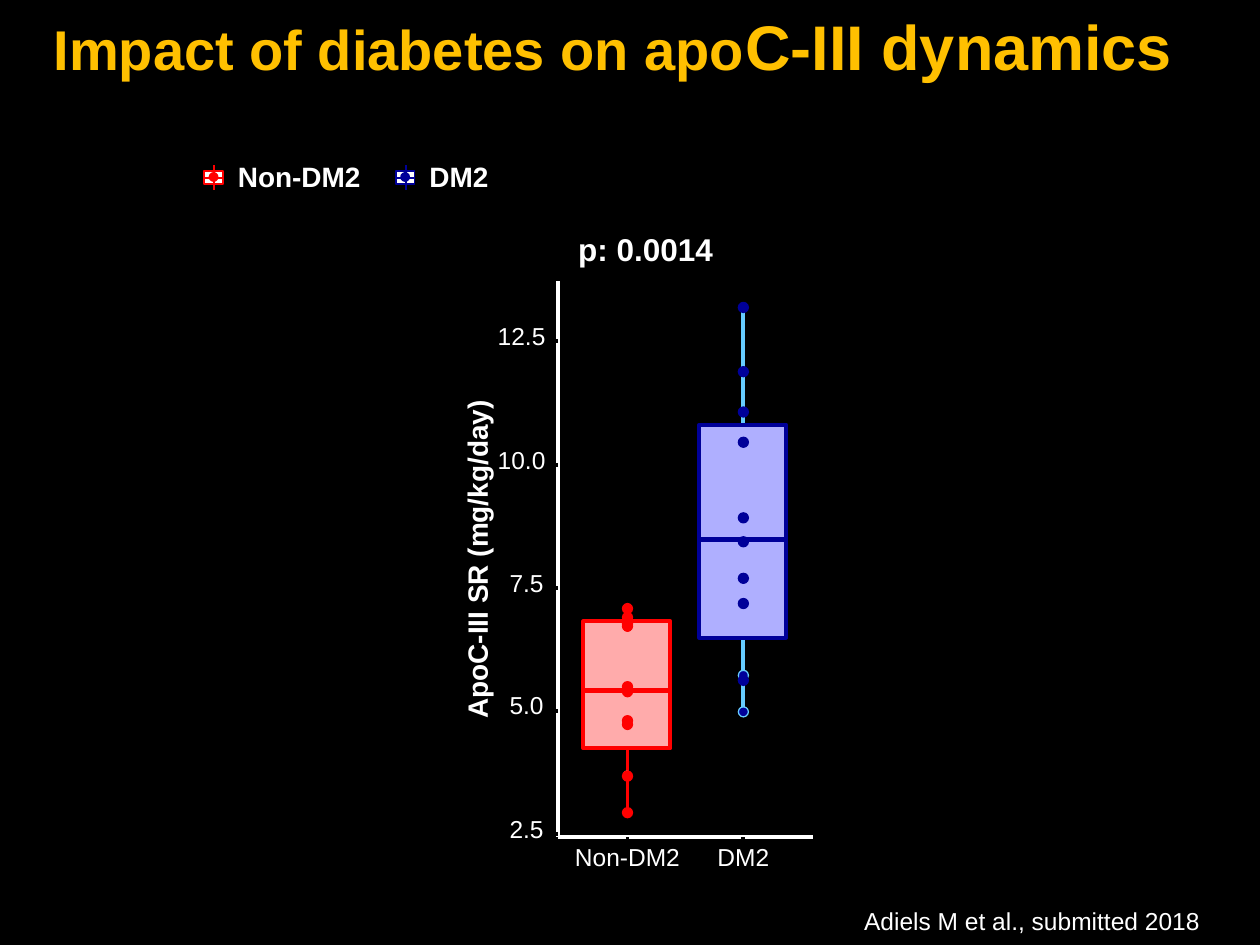
from lxml.etree import SubElement
from pptx import Presentation
from pptx.dml.color import RGBColor
from pptx.enum.shapes import MSO_CONNECTOR as Connector, MSO_SHAPE as Preset
from pptx.enum.text import MSO_ANCHOR as Anchor, PP_ALIGN as Align
from pptx.oxml.ns import qn
from pptx.util import Pt

EMU_PER_PX = 9144
BLACK = RGBColor(0x00, 0x00, 0x00)
WHITE = RGBColor(0xFF, 0xFF, 0xFF)
GOLD = RGBColor(0xFF, 0xC0, 0x00)
RED = RGBColor(0xFF, 0x00, 0x00)
PINK = RGBColor(0xFF, 0xAB, 0xAB)
SALMON = RGBColor(0xF8, 0x76, 0x6D)
NAVY = RGBColor(0x00, 0x00, 0x99)
LAVENDER = RGBColor(0xAF, 0xAF, 0xFF)
SKY = RGBColor(0x66, 0xCC, 0xFF)

AXIS_X, AXIS_Y = 443, 664
NON_DM2_X, DM2_X = 498, 590
DOT = 8


def px(*lengths):
    return [length * EMU_PER_PX for length in lengths]


class Canvas:
    font_name = "Arial"

    def __init__(self, slide):
        self.slide = slide
        self.shapes = slide.shapes
        slide.background.fill.solid()
        slide.background.fill.fore_color.rgb = BLACK

    def line(self, x1, y1, x2, y2, color, width):
        connector = self.shapes.add_connector(Connector.STRAIGHT, *px(x1, y1, x2, y2))
        connector.line.color.rgb = color
        connector.line.width = Pt(width)
        SubElement(connector._element.spPr, qn("a:effectLst"))

    def shape(self, preset, box, fill, outline, width):
        shape = self.shapes.add_shape(preset, *px(*box))
        shape.shadow.inherit = False
        shape.fill.solid()
        shape.fill.fore_color.rgb = fill
        shape.line.color.rgb = outline
        shape.line.width = Pt(width)
        return shape

    def dot(self, x, top, color, outline=None, height=DOT):
        box = (x - DOT // 2, top, DOT, height)
        self.shape(Preset.OVAL, box, color, outline or color, 0.71)

    def style(self, run, size, color, bold):
        run.font.name = self.font_name
        run.font.size = Pt(size)
        run.font.color.rgb = color
        run.font.bold = bold

    def text(self, box, text, size, color=WHITE, bold=False, wrap=False):
        text_box = self.shapes.add_textbox(*px(*box))
        text_box.text_frame.text = text
        text_box.text_frame.word_wrap = wrap
        self.style(text_box.text_frame.paragraphs[0].runs[0], size, color, bold)
        return text_box

    def axis_label(self, center, middle, width, text, size=14, spacing=12, bold=False):
        height = 20
        box = (center - width // 2, middle - height // 2, width, height)
        text_box = self.text(box, text, size, bold=bold)
        frame = text_box.text_frame
        frame.margin_left = frame.margin_right = frame.margin_top = frame.margin_bottom = 0
        frame.vertical_anchor = Anchor.MIDDLE
        frame.paragraphs[0].alignment = Align.CENTER
        frame.paragraphs[0].line_spacing = Pt(spacing)
        return text_box

    def box_plot(self, x, top, median, bottom, fill, outline):
        left, width = x - 35, 69
        self.shape(Preset.RECTANGLE, (left, top, width, bottom - top), fill, outline, 2.25)
        self.line(left, median, left + width, median, outline, 3)

    def legend_key(self, left, color):
        self.shapes = self.slide.shapes.add_group_shape().shapes
        center = left + 8
        self.shape(Preset.RECTANGLE, (left, 136, 15, 10), WHITE, color, 1.07)
        self.line(center, 131, center, 151, color, 1)
        self.line(left, 141, left + 15, 141, color, 1)
        self.shape(Preset.OVAL, (left + 5, 138, 5, 5), color, color, 2)
        self.shapes = self.slide.shapes


def draw_title(canvas):
    title = canvas.text((-36, 1, 1045, 71), "Impact of diabetes on apo", 32, GOLD, True, True)
    paragraph = title.text_frame.paragraphs[0]
    paragraph.alignment = Align.CENTER
    run = paragraph.add_run()
    run.text = "C-III dynamics"
    canvas.style(run, 36, GOLD, True)


def draw_boxes(canvas):
    canvas.line(NON_DM2_X, 493, NON_DM2_X, 483, SALMON, 1.07)
    canvas.line(NON_DM2_X, 594, NON_DM2_X, 644, RED, 2.25)
    canvas.box_plot(NON_DM2_X, 493, 548, 594, PINK, RED)
    canvas.line(DM2_X, 337, DM2_X, 243, SKY, 2.25)
    canvas.line(DM2_X, 506, DM2_X, 564, SKY, 2.25)
    canvas.box_plot(DM2_X, 337, 428, 506, LAVENDER, NAVY)


def draw_dots(canvas):
    canvas.shape(Preset.OVAL, (495, 612, 5, 5), SALMON, SALMON, 0.71)
    for top in (486, 571, 612, 641, 568, 493, 479, 545, 541):
        canvas.dot(NON_DM2_X, top, RED)
    canvas.dot(NON_DM2_X, 489, RED, height=12)
    for top in (532, 561):
        canvas.dot(DM2_X, top, NAVY, SKY)
    for top in (240, 291, 536, 347, 426, 407, 455, 323, 475):
        canvas.dot(DM2_X, top, NAVY)


def draw_axes(canvas):
    canvas.line(AXIS_X, AXIS_Y, AXIS_X, 223, WHITE, 2.25)
    for index, label in enumerate(("2.5", "5.0", "7.5", "10.0", "12.5")):
        y = round(662 - 97.7 * index)
        center, width = (418, 30) if len(label) == 3 else (414, 40)
        canvas.axis_label(center, y - 1, width, label)
        canvas.line(AXIS_X - 5, y, AXIS_X, y, BLACK, 2.25)
    canvas.line(AXIS_X, AXIS_Y, 645, AXIS_Y, WHITE, 2.25)
    for x, width, label in ((NON_DM2_X, 86, "Non-DM2"), (DM2_X, 44, "DM2")):
        canvas.line(x, AXIS_Y + 5, x, AXIS_Y, BLACK, 2.25)
        canvas.axis_label(x, 683, width, label)
    axis_title = canvas.axis_label(382, 444, 260, "ApoC-III SR (mg/kg/day)", 16, 14, True)
    axis_title.rotation = 270


def draw_legend(canvas):
    canvas.shape(Preset.RECTANGLE, (148, 117, 253, 48), BLACK, BLACK, 0.25)
    canvas.text((179, 122, 119, 37), "Non-DM2", 16, bold=True)
    canvas.text((331, 122, 70, 37), "DM2", 16, bold=True)
    canvas.legend_key(314, NAVY)
    canvas.legend_key(162, RED)


def main():
    presentation = Presentation()
    presentation.slide_width, presentation.slide_height = px(1000, 750)
    canvas = Canvas(presentation.slides.add_slide(presentation.slide_layouts[6]))
    draw_title(canvas)
    draw_boxes(canvas)
    draw_dots(canvas)
    draw_axes(canvas)
    p_value = canvas.shape(Preset.RECTANGLE, (449, 178, 128, 40), BLACK, BLACK, 0.75)
    p_value.text_frame.text = "p: 0.0014"
    p_value.text_frame.word_wrap = False
    p_value.text_frame.vertical_anchor = Anchor.TOP
    paragraph = p_value.text_frame.paragraphs[0]
    paragraph.alignment = Align.LEFT
    canvas.style(paragraph.runs[0], 18, WHITE, True)
    canvas.text((676, 714, 373, 34), "Adiels M et al., submitted 2018", 14, wrap=True)
    draw_legend(canvas)
    presentation.save("out.pptx")


if __name__ == "__main__":
    main()
